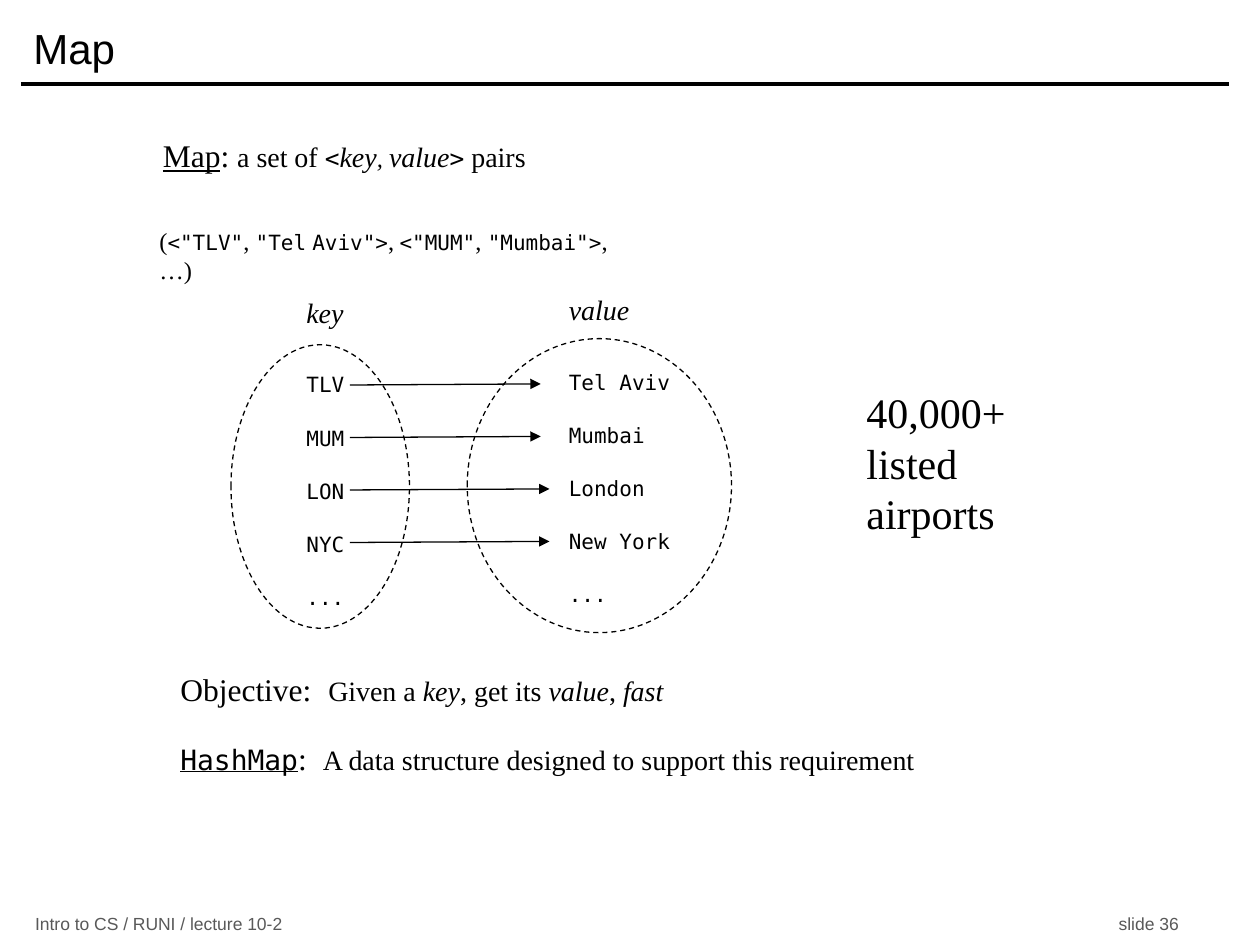
"""Build a slide that explains the map data structure."""
from lxml.etree import SubElement as Sub
from pptx import Presentation as Deck
from pptx.dml.color import RGBColor as Rgb
from pptx.enum.dml import MSO_LINE as Dash
from pptx.enum.shapes import MSO_CONNECTOR as Link, MSO_SHAPE as Kind
from pptx.enum.text import MSO_ANCHOR as Anchor
from pptx.oxml.ns import qn
from pptx.util import Pt

BLACK, GRAY = "000000", "595959"
SANS, SERIF, MONO = "Arial", "Times New Roman", "DejaVu Sans Mono"
ROWS = [("TLV", "Tel Aviv"), ("MUM", "Mumbai"), ("LON", "London"),
        ("NYC", "New York"), ("...", "...")]


def tint(code):
    """Turn a hex string into a colour."""
    return Rgb.from_string(code)


def run(text, size, name=SERIF, **more):
    """Pair a piece of text with its font values."""
    return text, {"size": Pt(size), "name": name, **more}


def put(slide, box, paras, gap=0, tab=None, color=BLACK, **frame):
    """Add a text box; each paragraph is a list of runs."""
    body = slide.shapes.add_textbox(*map(Pt, box)).text_frame
    for key, val in {"word_wrap": True, **frame}.items():
        setattr(body, key, val)
    for i, runs in enumerate(paras):
        para = body.add_paragraph() if i else body.paragraphs[0]
        if i and gap:
            para.space_before = Pt(gap)
        if tab:
            stop, side = tab
            tabs = Sub(para._p.get_or_add_pPr(), qn("a:tabLst"))
            Sub(tabs, qn("a:tab"), pos=str(Pt(stop)), algn=side)
        for text, style in runs:
            part = para.add_run()
            part.text = text
            part.font.color.rgb = tint(color)
            for key, val in style.items():
                setattr(part.font, key, val)


def rule(slide, ends, width, head=False):
    """Add a straight line, with an arrowhead if asked."""
    line = slide.shapes.add_connector(Link.STRAIGHT, *map(Pt, ends))
    line.line.color.rgb = tint(BLACK)
    line.line.width = Pt(width)
    props = line.element.spPr
    if head:
        Sub(props.find(qn("a:ln")), qn("a:tailEnd"), type="triangle")
    Sub(props, qn("a:effectLst"))


def oval(slide, box):
    """Add a dashed, unfilled ellipse."""
    ring = slide.shapes.add_shape(Kind.OVAL, *map(Pt, box))
    ring.shadow.inherit = False
    ring.fill.background()
    ring.line.color.rgb = tint(BLACK)
    ring.line.width = Pt(0.75)
    ring.line.dash_style = Dash.DASH


def frame(slide):
    """Add the title, its rule and the footer."""
    rule(slide, (12, 48, 702, 48), 2)
    put(slide, (13, 520.5, 678, 14),
        [[run("Intro to CS / RUNI / lecture 10-2\tslide 36", 10, SANS)]],
        tab=(653.5, "r"), color=GRAY, vertical_anchor=Anchor.MIDDLE)
    put(slide, (12, 6, 690, 42), [[run("Map", 24, SANS)]],
        vertical_anchor=Anchor.MIDDLE)


def intro(slide):
    """Add the definition and the sample pairs."""
    put(slide, (86, 74, 354, 27), [[
        run("Map", 18, underline=True), run(": ", 18), run("a set of ", 16),
        run("<", 14, MONO), run("key", 16, italic=True),
        run(", ", 14, italic=True), run("value", 16, italic=True),
        run(">", 14, MONO), run(" pairs", 16)]])
    put(slide, (84, 125.5, 288, 35), [[
        run("(", 14), run('<"TLV"', 12, MONO), run(", ", 14),
        run('"Tel', 12, MONO), run(" ", 14), run('Aviv">', 12, MONO),
        run(",", 14), run(" ", 12), run('<"MUM"', 12, MONO), run(", ", 14),
        run('"Mumbai">', 12, MONO), run(", …)", 14)]])


def chart(slide):
    """Add the key and value sets with their arrows."""
    sets = [("key", (168, 165.5, 66), (168, 209, 54), (132, 197, 102, 162)),
            ("value", (318, 163.5, 79), (318, 207.5, 93), (267, 193.5, 151, 168))]
    for (name, top, list_, ring), words in zip(sets, zip(*ROWS)):
        put(slide, (*top, 27), [[run(name, 16, italic=True)]])
        put(slide, (*list_, 149), [[run(word, 12, MONO)] for word in words],
            gap=16)
        oval(slide, ring)
    for i, end in enumerate((309, 309, 314, 314)):
        y = 220 + 30 * i
        rule(slide, (200, y, end, y - 0.6), 0.75, head=True)


def notes(slide):
    """Add the airport count and the closing lines."""
    put(slide, (488, 217.5, 112, 104), [[run("40,000+ listed airports", 24)]])
    put(slide, (96, 379.5, 392, 32), [[
        run("Objective:\t", 18), run("Given a ", 16),
        run("key", 16, italic=True), run(", get its ", 16),
        run("value", 16, italic=True), run(", ", 16),
        run("fast", 16, italic=True)]], tab=(84.5, "l"))
    put(slide, (96, 418.5, 474, 32), [[
        run("HashMap", 16, MONO, underline=True), run(":\t", 18),
        run("A data structure designed to support this requirement", 16)]],
        tab=(81.5, "l"))


def main():
    """Build and save the slide."""
    deck = Deck()
    deck.slide_width, deck.slide_height = Pt(720), Pt(540)
    slide = deck.slides.add_slide(deck.slide_layouts[6])
    for part in (frame, intro, chart, notes):
        part(slide)
    deck.save("out.pptx")


if __name__ == "__main__":
    main()
